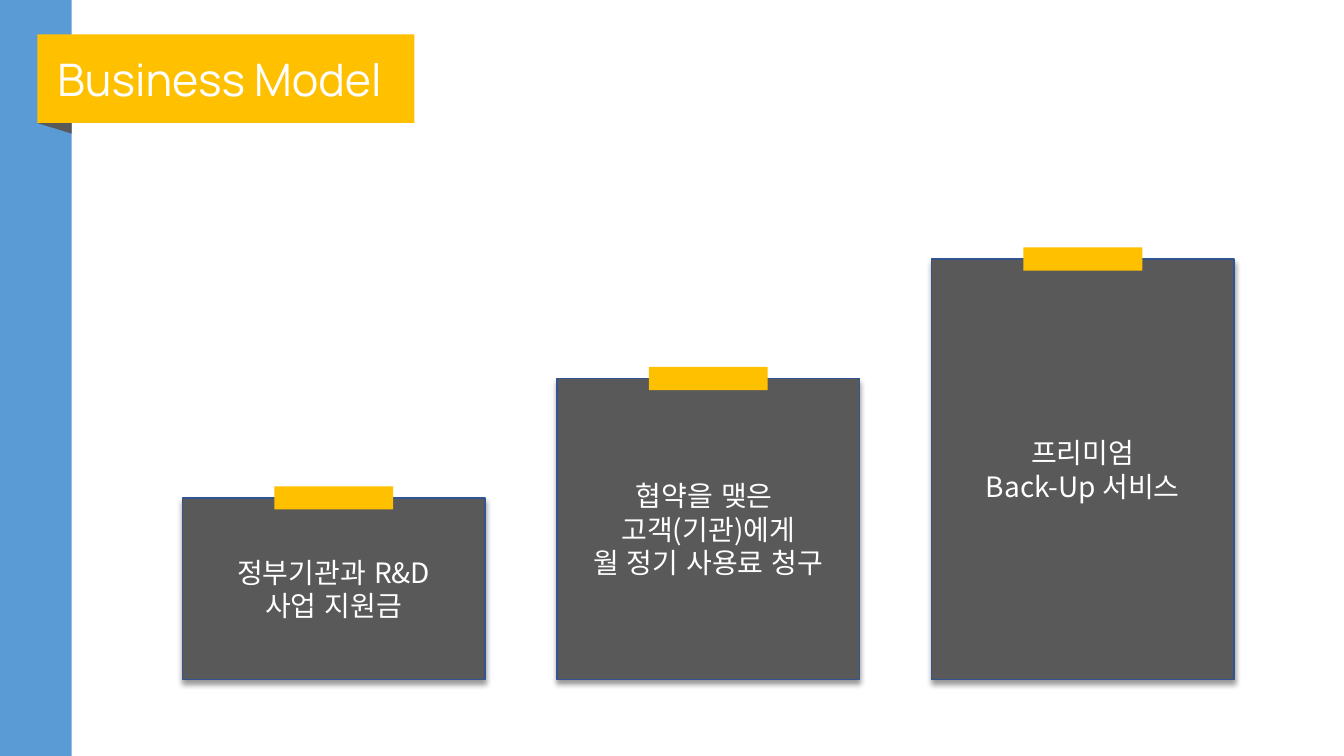
from lxml import etree
from pptx import Presentation
from pptx import util as u
from pptx.dml.color import RGBColor
from pptx.enum import lang, shapes, text
from pptx.oxml import ns

WIDE, HIGH = 13.33, 7.5
HUES = {"blue": "5B9BD5", "gold": "FFC000", "gray": "595959",
        "edge": "325491", "white": "FFFFFF", "black": "000000"}
LATIN, HANGUL = "Manrope", "Noto Sans CJK KR"
STEPS = [
    ["정부기관과 R&D", "사업 지원금"],
    ["협약을 맺은 ", "고객(기관)에게", "월 정기 사용료 청구"],
    ["프리미엄", "Back-Up 서비스"],
]


def hue(name):
    return RGBColor.from_string(HUES[name])


def block(slide, box, fill, kind=shapes.MSO_SHAPE.RECTANGLE, edge=None):
    shape = slide.shapes.add_shape(kind, *[u.Inches(v) for v in box])
    shape.shadow.inherit = False
    shape.fill.solid()
    shape.fill.fore_color.rgb = hue(fill)
    if edge:
        shape.line.color.rgb = hue(edge)
        shape.line.width = u.Pt(1)
    else:
        shape.line.fill.background()
    return shape


def write(shape, lines, size, font, align, inset=0.1, tongue=lang.MSO_LANGUAGE_ID.KOREAN):
    frame = shape.text_frame
    frame.word_wrap = True
    frame.vertical_anchor = text.MSO_ANCHOR.MIDDLE
    frame.margin_left = u.Inches(inset)
    for i, line in enumerate(lines):
        para = frame.paragraphs[0] if i == 0 else frame.add_paragraph()
        para.alignment = align
        run = para.add_run()
        run.text = line
        run.font.name = font
        run.font.size = u.Pt(size)
        run.font.color.rgb = hue("white")
        run.font.language_id = tongue
        east = etree.SubElement(run.font._element, ns.qn("a:ea"))
        east.set("typeface", font)


def shade(shape):
    list_ = shape._element.spPr.find(ns.qn("a:effectLst"))
    cast = etree.SubElement(list_, ns.qn("a:outerShdw"), blurRad=str(u.Pt(4)),
                            dist=str(u.Pt(3)), dir="5400000", algn="t", rotWithShape="0")
    tint = etree.SubElement(cast, ns.qn("a:srgbClr"), val=HUES["black"])
    etree.SubElement(tint, ns.qn("a:alpha"), val="40000")


def header(slide, box, side):
    x, y, w, h = box
    block(slide, (0, 0, side, HIGH), "blue")
    deep, long = 0.21, side - x
    mid = (x + side) / 2
    fold = block(slide, (mid - deep / 2, y + h - long / 2, deep, long), "gray",
                 shapes.MSO_SHAPE.ISOSCELES_TRIANGLE)
    fold.rotation = 270
    title = block(slide, box, "gold")
    write(title, ["Business Model"], 32, LATIN, text.PP_ALIGN.LEFT, inset=0.2,
          tongue=lang.MSO_LANGUAGE_ID.ENGLISH_US)


def card(slide, box, lines):
    x, y, w, h = box
    body = block(slide, box, "gray", edge="edge")
    shade(body)
    write(body, lines, 20, HANGUL, text.PP_ALIGN.CENTER)
    wide, high = 1.18, 0.23
    block(slide, (x + (w - wide) / 2, y - high / 2, wide, high), "gold")


def stairs(slide, box, steps):
    x, y, w, h = box
    wide, low = 3, 1.8
    pitch = (w - wide) / (len(steps) - 1)
    rise = (h - low) / (len(steps) - 1)
    for i, lines in enumerate(steps):
        tall = low + i * rise
        card(slide, (x + i * pitch, y + h - tall, wide, tall), lines)


def main():
    deck = Presentation()
    deck.slide_width, deck.slide_height = u.Inches(WIDE), u.Inches(HIGH)
    slide = deck.slides.add_slide(deck.slide_layouts[6])
    header(slide, (0.37, 0.34, 3.74, 0.88), 0.71)
    stairs(slide, (1.81, 2.57, 10.43, 4.17), STEPS)
    deck.save("out.pptx")


if __name__ == "__main__":
    main()
